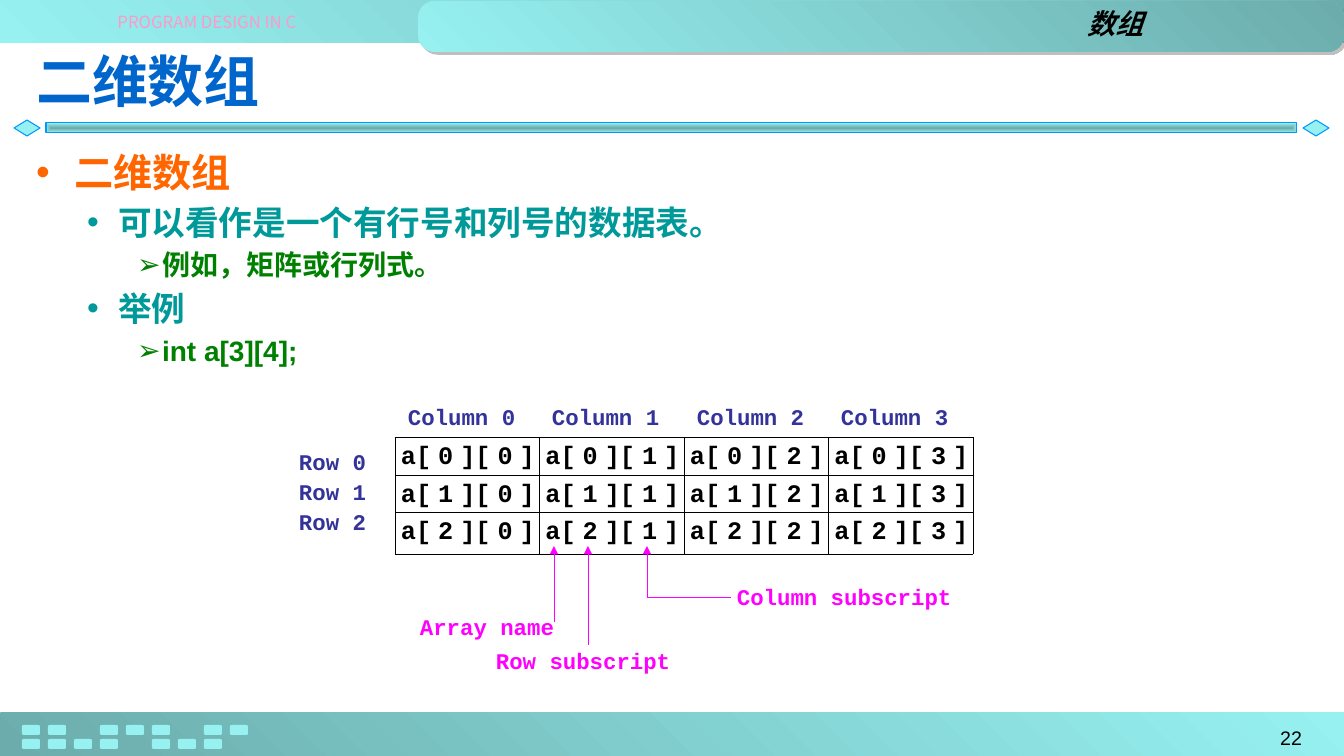
"""Build the two-dimensional array slide with its labelled element grid."""
from dataclasses import dataclass

from lxml import etree
from pptx import Presentation
from pptx.dml.color import RGBColor
from pptx.enum.shapes import MSO_CONNECTOR, MSO_SHAPE
from pptx.enum.text import MSO_ANCHOR, MSO_AUTO_SIZE, PP_ALIGN
from pptx.oxml.ns import qn
from pptx.util import Emu, Pt

RECT, ROUNDED, DIAMOND = MSO_SHAPE.RECTANGLE, MSO_SHAPE.ROUNDED_RECTANGLE, MSO_SHAPE.DIAMOND
STRAIGHT = MSO_CONNECTOR.STRAIGHT
LEFT, CENTER, RIGHT = PP_ALIGN.LEFT, PP_ALIGN.CENTER, PP_ALIGN.RIGHT
TOP, MIDDLE = MSO_ANCHOR.TOP, MSO_ANCHOR.MIDDLE
NO_AUTOFIT = MSO_AUTO_SIZE.NONE
PAGE_WIDTH, PAGE_HEIGHT = 1344, 756
EMU_PER_PX = 12192000 / PAGE_WIDTH


@dataclass(frozen=True)
class Theme:
    sans: str = "Arial"
    mono: str = "Courier New"
    heading: str = "Noto Sans CJK JP"
    course: str = "Noto Sans CJK SC"
    aqua: str = "97F1F1"
    teal: str = "6CACAC"
    outline: str = "0099FF"
    shade: str = "808080"
    pink: str = "FF99CC"
    blue: str = "0066CC"
    navy: str = "333399"
    magenta: str = "FF00FF"
    black: str = "000000"
    white: str = "FFFFFF"
    levels: tuple = (("FF6600", 28), ("009999", 24), ("008000", 20))
    title_size: int = 40
    chapter_size: int = 20
    cell_size: int = 18
    label_size: int = 16
    number_size: int = 14
    course_size: int = 12
    hairline: float = 0.25
    border: float = 0.75


def px(length):
    return Emu(round(length * EMU_PER_PX))


def add_xml(parent, tag, **attributes):
    return etree.SubElement(parent, qn(tag), {key: str(value) for key, value in attributes.items()})


class SlideBuilder:
    def __init__(self, page, theme):
        self.page = page
        self.theme = theme

    def style(self, para, size, color, face, bold=True, italic=False, align=LEFT):
        font = para.font
        font.size, font.bold, font.italic = Pt(size), bold, italic
        font.color.rgb = RGBColor.from_string(color)
        font.name = face
        east_asian = self.theme.course if face == self.theme.course else self.theme.heading
        add_xml(para._p.pPr.find(qn("a:defRPr")), "a:ea", typeface=east_asian)
        para.alignment = align

    def place(self, holder, left, top, width, height):
        holder.left, holder.top, holder.width, holder.height = map(px, (left, top, width, height))
        holder.text_frame.auto_size = NO_AUTOFIT
        return holder.text_frame

    def title(self, text, *area):
        frame = self.place(self.page.shapes.title, *area)
        frame.vertical_anchor = MIDDLE
        frame.text = text
        self.style(frame.paragraphs[0], self.theme.title_size, self.theme.blue, self.theme.heading)

    def bullets(self, items, *area):
        frame = self.place(self.page.placeholders[1], *area)
        frame.text = "\n".join(text for level, text in items)
        bullet_styles = ((38, 38, "•"), (82, 31, "•"), (126, 25, "➢"))
        for para, (level, text) in zip(frame.paragraphs, items):
            margin, hanging, mark = bullet_styles[level]
            color, size = self.theme.levels[level]
            para.level = level
            properties = para._p.get_or_add_pPr()
            properties.set("marL", str(px(margin)))
            properties.set("indent", str(-px(hanging)))
            add_xml(properties, "a:buChar", char=mark)
            self.style(para, size, color, self.theme.sans)

    def text(self, text, left, top, width, height, size, color, face, wrap=True, **styling):
        box = self.page.shapes.add_textbox(px(left), px(top), px(width), px(height))
        frame = box.text_frame
        frame.word_wrap = wrap
        frame.text = text
        self.style(frame.paragraphs[0], size, color, face, **styling)
        return frame

    def label(self, text, left, top, width, color):
        frame = self.text(text, left, top, width, 20, self.theme.label_size, color, self.theme.mono)
        frame.margin_left = frame.margin_right = frame.margin_top = frame.margin_bottom = 0

    def shape(self, kind, left, top, width, height, corner=None, gradient=None, outlined=False):
        shape = self.page.shapes.add_shape(kind, px(left), px(top), px(width), px(height))
        shape.shadow.inherit = False
        if corner is not None:
            shape.adjustments[0] = corner
        if gradient:
            shape.fill.gradient()
            shape.fill.gradient_angle = 45
            for stop, color in zip(shape.fill.gradient_stops, gradient):
                stop.color.rgb = RGBColor.from_string(color)
        else:
            shape.fill.solid()
            shape.fill.fore_color.rgb = RGBColor.from_string(self.theme.aqua)
        if outlined:
            shape.line.color.rgb = RGBColor.from_string(self.theme.outline)
            shape.line.width = Pt(self.theme.border)
        else:
            shape.line.fill.background()
        return shape

    def drop_shadow(self, shape):
        effects = shape._element.spPr.find(qn("a:effectLst"))
        shadow = add_xml(effects, "a:outerShdw", dist=Pt(2.8), dir=45 * 60000, algn="ctr")
        color = add_xml(shadow, "a:srgbClr", val=self.theme.shade)
        add_xml(color, "a:alpha", val=50000)

    def radiate(self, shape):
        gradient = shape._element.spPr.find(qn("a:gradFill"))
        gradient.remove(gradient.find(qn("a:lin")))
        center = add_xml(gradient, "a:path", path="shape")
        add_xml(center, "a:fillToRect", l=50000, t=50000, r=50000, b=50000)

    def line(self, start, end, arrow=True):
        line = self.page.shapes.add_connector(STRAIGHT, *map(px, start + end))
        line.line.color.rgb = RGBColor.from_string(self.theme.magenta)
        line.line.width = Pt(self.theme.hairline)
        if arrow:
            add_xml(line.line._get_or_add_ln(), "a:headEnd", type="triangle")
        add_xml(line._element.spPr, "a:effectLst")

    def cell(self, cell, text):
        cell.margin_left, cell.margin_top = px(6), px(5)
        cell.margin_right = cell.margin_bottom = 0
        cell.vertical_anchor = TOP
        for side in ("a:lnL", "a:lnR", "a:lnT", "a:lnB"):
            border = add_xml(cell._tc.get_or_add_tcPr(), side, w=Pt(self.theme.hairline))
            add_xml(add_xml(border, "a:solidFill"), "a:srgbClr", val=self.theme.black)
        cell.fill.solid()
        cell.fill.fore_color.rgb = RGBColor.from_string(self.theme.white)
        para = cell.text_frame.paragraphs[0]
        self.style(para, self.theme.cell_size, self.theme.black, self.theme.mono)
        for index, part in enumerate(text.split(" ")):
            if index:
                gap = para.add_run()
                gap.text, gap.font.name = " ", self.theme.sans
            para.add_run().text = part

    def array_grid(self, left, top, width, heights, columns):
        frame = self.page.shapes.add_table(
            len(heights), columns, px(left), px(top), px(width), px(sum(heights)))
        table = frame.table
        table.first_row = table.horz_banding = False
        for column in table.columns:
            column.width = px(width / columns)
        for row, height in enumerate(heights):
            table.rows[row].height = px(height)
            for column in range(columns):
                self.cell(table.cell(row, column), f"a[ {row} ][ {column} ]")


def draw_template(slide):
    theme = slide.theme
    rising, falling = (theme.teal, theme.aqua), (theme.aqua, theme.teal)
    slide.shape(RECT, 0, 713, PAGE_WIDTH, 43, gradient=rising)
    slide.shape(RECT, 0, 0, PAGE_WIDTH, 43, gradient=falling)
    slide.drop_shadow(slide.shape(ROUNDED, 418, 1, 926, 51, corner=0.33, gradient=falling))
    for left in (14, 1303):
        slide.shape(DIAMOND, left, 120, 26, 16, outlined=True)
    slide.radiate(slide.shape(RECT, 46, 123, 1251, 10, gradient=rising, outlined=True))
    for row, pattern in enumerate(("##.###.##", "####.###.")):
        for column, mark in enumerate(pattern):
            if mark == "#":
                slide.shape(ROUNDED, 22 + 26 * column, 725 + 14 * row, 18, 10, corner=0.17)
    slide.text("PROGRAM DESIGN IN C", 30, 7, 354, 22, theme.course_size, theme.pink,
               theme.course, wrap=False, bold=False, align=CENTER)
    slide.text("22", 1127, 721, 185, 28, theme.number_size, theme.black, theme.sans,
               bold=False, align=RIGHT)
    slide.text("数组", 508, 2, 646, 43, theme.chapter_size, theme.black, theme.sans,
               italic=True, align=RIGHT)


def draw_array(slide):
    theme = slide.theme
    left, width, columns, heights = 395, 578, 4, (38, 37, 42)
    for row in range(len(heights)):
        slide.label(f"Row {row}", 299, 448 + 30 * row, 79, theme.navy)
    for column in range(columns):
        slide.label(f"Column {column}", left + 13 + width * column // columns, 403, 122, theme.navy)
    slide.array_grid(left, 437, width, heights, columns)
    for text, label_left, top, label_width in (
            ("Row subscript", 496, 647, 244), ("Array name", 420, 613, 150),
            ("Column subscript", 737, 583, 280)):
        slide.label(text, label_left, top, label_width, theme.magenta)
    for x, bottom in ((554, 622), (588, 645), (647, 597)):
        slide.line((x, 546), (x, bottom))
    slide.line((731, 597), (647, 597), arrow=False)


def main():
    deck = Presentation()
    deck.slide_width, deck.slide_height = px(PAGE_WIDTH), px(PAGE_HEIGHT)
    slide = SlideBuilder(deck.slides.add_slide(deck.slide_layouts[1]), Theme())
    draw_template(slide)
    slide.title("二维数组", 26, 36, 1291, 88)
    slide.bullets(((0, "二维数组"), (1, "可以看作是一个有行号和列号的数据表。"),
                   (2, "例如，矩阵或行列式。"), (1, "举例"), (2, "int a[3][4];")),
                  26, 143, 1291, 556)
    draw_array(slide)
    deck.save("out.pptx")


if __name__ == "__main__":
    main()
